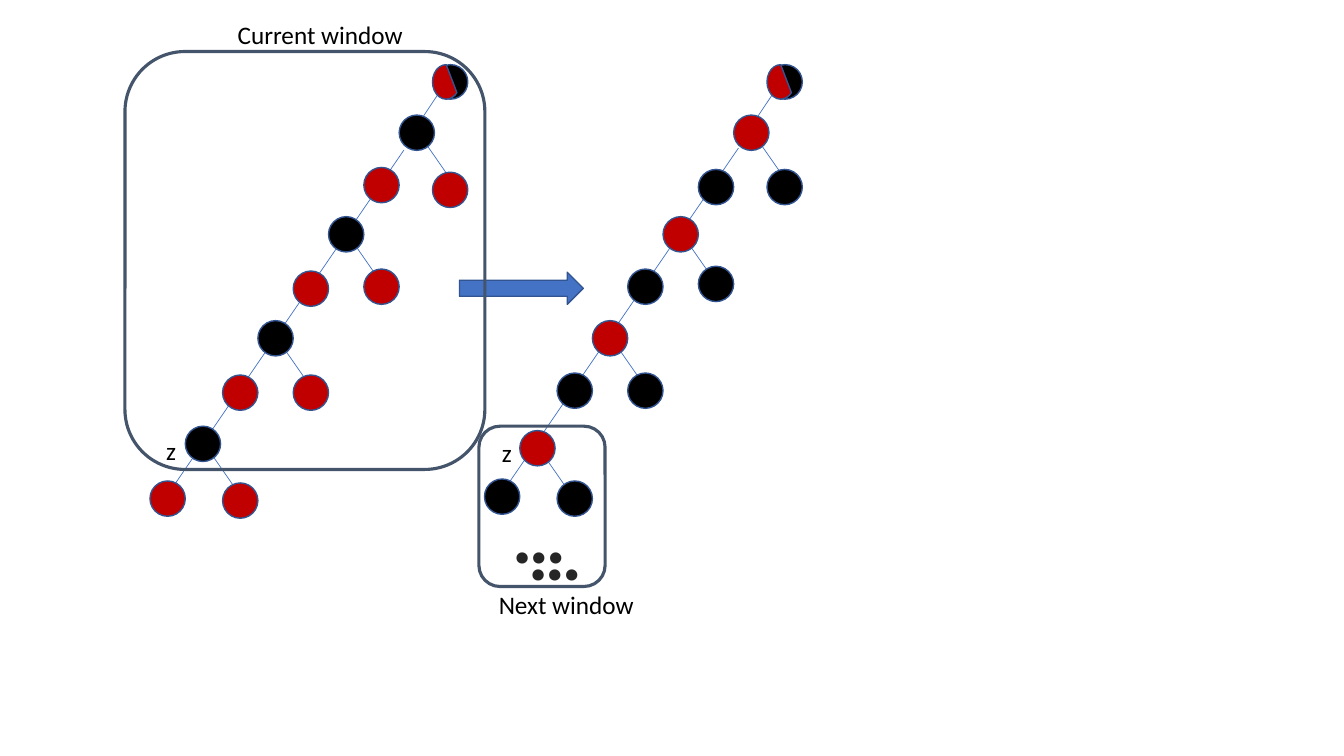
from pptx import Presentation
from pptx.dml.color import RGBColor
from pptx.enum.shapes import MSO_CONNECTOR, MSO_SHAPE as SHP
from pptx.enum.text import MSO_AUTO_SIZE, PP_ALIGN
from pptx.oxml import parse_xml
from pptx.oxml.ns import nsdecls, qn
from pptx.util import Cm, Pt
from lxml.etree import SubElement

THEME = dict(
    font="Calibri", label=18, dots=54,
    black="000000", red="C00000", blue="4472C4", edge="325491",
    window="44546A", ink="262626", halo="FFFFFF",
    link_w=0.5, edge_w=1, window_w=2.25,
)

prs = Presentation()
prs.slide_width, prs.slide_height = Cm(33.87), Cm(19.05)
s = prs.slides.add_slide(prs.slide_layouts[6])


def rgb(name):
    return RGBColor.from_string(THEME[name])


def add_shape(kind, box, fill=None, line="edge"):
    sp = s.shapes.add_shape(kind, *map(Cm, box))
    sp.shadow.inherit = False
    if fill:
        sp.fill.solid()
        sp.fill.fore_color.rgb = rgb(fill)
    else:
        sp.fill.background()
    sp.line.color.rgb = rgb(line)
    sp.line.width = Pt(THEME[line + "_w"])


D = 0.89
SPINE_X = (10.06, 9.17, 8.28, 7.39, 6.5, 5.61, 4.67, 3.78)
RIGHT_X = (10.9, 9.17, 7.39, 5.61)
TREES = [
    dict(dx=0, parent="black", child="red", spine_top=3.78,
         spine_y=(2.9, 4.22, 5.46, 6.83, 8.08, 9.45, 10.74, 12.12),
         right_y=(4.34, 6.78, 9.45, 12.17)),
    dict(dx=8.43, parent="red", child="black", spine_top=3.73,
         spine_y=(2.9, 4.27, 5.46, 6.78, 8.08, 9.4, 10.85, 12.07),
         right_y=(4.27, 6.71, 9.4, 12.12)),
]

for tree in TREES:
    dx, top = tree["dx"], tree["spine_top"]
    spine = [(x + dx, y) for x, y in zip(SPINE_X, tree["spine_y"])]
    rights = [(x + dx, y) for x, y in zip(RIGHT_X, tree["right_y"])]

    links = [(11.05 + dx, 2.36, 10.18 + dx, 3.66),
             (10.18 + dx, top, 3.94 + dx, top + 9.1)]
    links += [(x + 0.72, y + 0.79, x + 1.59, y + 2.04) for x, y in spine[::2]]
    for link in links:
        cx = s.shapes.add_connector(MSO_CONNECTOR.STRAIGHT, *map(Cm, link))
        cx.line.color.rgb = rgb("blue")
        cx.line.width = Pt(THEME["link_w"])
        SubElement(cx._element.spPr, qn("a:effectLst"))

    for i, (x, y) in enumerate(spine):
        add_shape(SHP.OVAL, (x, y, D, D), tree["child" if i % 2 else "parent"])
    for x, y in rights:
        add_shape(SHP.OVAL, (x, y, D, D), tree["child"])
    add_shape(SHP.OVAL, (10.92 + dx, 1.63, 0.87, 0.87), "black")
    add_shape(SHP.CHORD, (10.9 + dx, 1.63, 0.69, 0.87), "red")

add_shape(SHP.RIGHT_ARROW, (11.58, 6.86, 3.12, 0.81), "blue")
for box in [(3.15, 1.3, 9.07, 10.53), (12.07, 10.74, 3.18, 4.04)]:
    add_shape(SHP.ROUNDED_RECTANGLE, box, line="window")

LABEL = dict(name=THEME["font"], size=Pt(THEME["label"]))
DOTS = dict(name=THEME["font"], size=Pt(THEME["dots"]), bold=True)
TEXTS = [
    ("z", (3.94, 10.85, 0.76, 1.02), LABEL),
    ("z", (12.4, 10.9, 0.76, 1.02), LABEL),
    ("Current window", (5.74, 0.36, 4.72, 1.02), LABEL),
    ("Next window", (12.32, 14.73, 3.96, 1.02), LABEL),
    ("…", (12.65, 12.17, 1.88, 2.57), DOTS),
    ("…", (13.06, 12.6, 1.88, 2.57), DOTS),
]
for text, box, fmt in TEXTS:
    tf = s.shapes.add_textbox(*map(Cm, box)).text_frame
    tf.word_wrap = False
    tf.auto_size = MSO_AUTO_SIZE.SHAPE_TO_FIT_TEXT
    p = tf.paragraphs[0]
    r = p.add_run()
    r.text = text
    for key, value in fmt.items():
        setattr(r.font, key, value)
    r.font.color.rgb = rgb("ink" if fmt is DOTS else "black")
    if fmt is DOTS:
        p.alignment = PP_ALIGN.CENTER
        r._r.get_or_add_rPr().insert(0, parse_xml(
            f'<a:ln {nsdecls("a")} w="13462"><a:solidFill>'
            f'<a:srgbClr val="{THEME["halo"]}"/></a:solidFill></a:ln>'))

prs.save("out.pptx")
